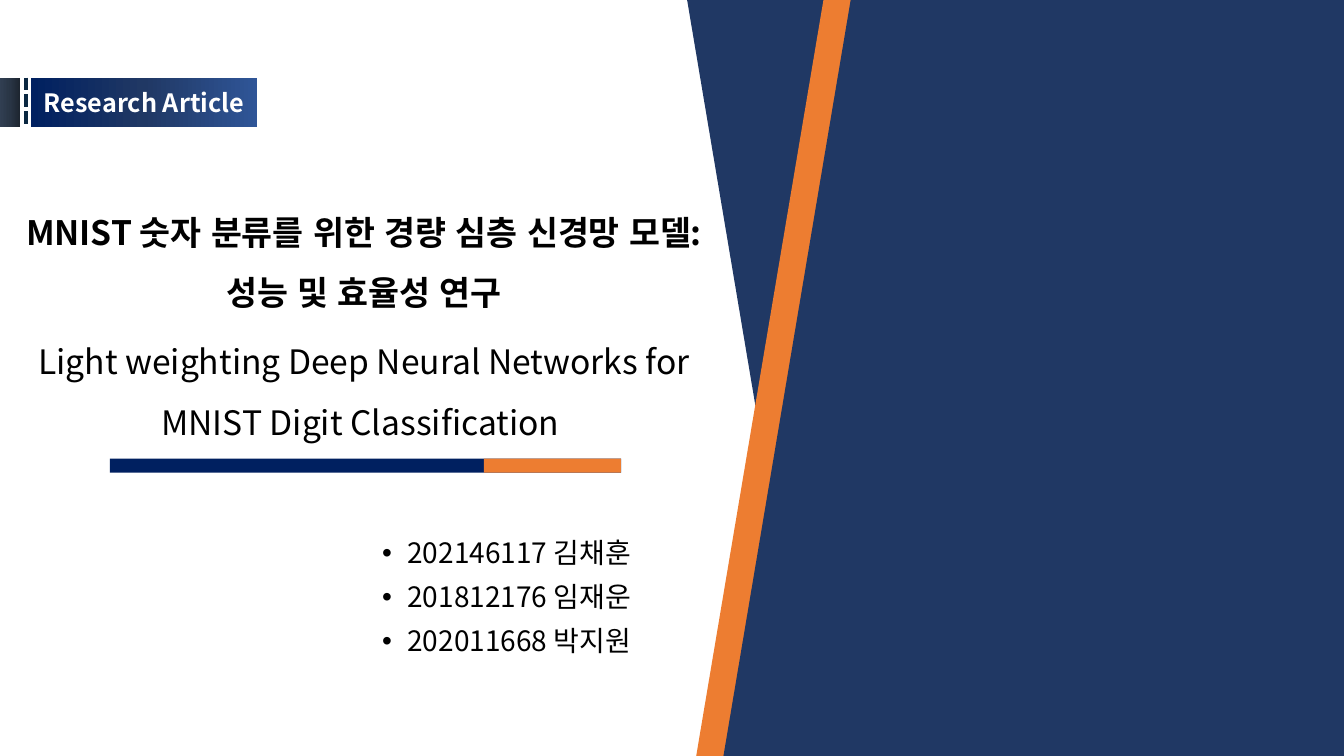
from copy import deepcopy
from pptx import Presentation
from pptx.dml.color import RGBColor
from pptx.enum.dml import MSO_LINE
from pptx.enum.lang import MSO_LANGUAGE_ID
from pptx.enum.shapes import MSO_CONNECTOR, MSO_SHAPE
from pptx.enum.text import MSO_ANCHOR, MSO_AUTO_SIZE, PP_ALIGN
from pptx.oxml.ns import qn
from pptx.util import Inches, Pt
from lxml import etree

TITLE = [
    ("MNIST 숫자 분류를 위한 경량 심층 신경망 모델: 성능 및 효율성 연구", True),
    ("Light weighting Deep Neural Networks for MNIST Digit Classification ", False),
]
TEAM = ["202146117 김채훈", "201812176 임재운", "202011668 박지원"]
TAG = "Research Article"

FONT = "Noto Sans CJK KR"
BLACK = RGBColor(0, 0, 0)
WHITE = RGBColor(255, 255, 255)
NAVY = RGBColor(0x20, 0x38, 0x64)
DEEP = RGBColor(0x00, 0x20, 0x60)
BLUE = RGBColor(0x2F, 0x55, 0x97)
ORANGE = RGBColor(0xED, 0x7D, 0x31)
INK = RGBColor(0x0A, 0x27, 0x41)
SLATE = [RGBColor(0x1D, 0x25, 0x30), RGBColor(0x29, 0x35, 0x45), RGBColor(0x31, 0x3F, 0x52)]

RECT = MSO_SHAPE.RECTANGLE
SLANT = MSO_SHAPE.FLOWCHART_MANUAL_INPUT
LEFT, MID, RIGHT = PP_ALIGN.LEFT, PP_ALIGN.CENTER, PP_ALIGN.RIGHT
TOP, CENTER = MSO_ANCHOR.TOP, MSO_ANCHOR.MIDDLE
KOREAN = MSO_LANGUAGE_ID.KOREAN

WIDE, HIGH = 13.33, 7.5
TAG_Y, TAG_H = 0.77, 0.49
DEPTH = 6.31
SLANTS = [(6.22, 270, False, NAVY), (6.31, 90, True, ORANGE), (6.58, 90, True, NAVY)]
BAR_X, BAR_Y, BAR_W, BAR_H = 1.09, 4.55, 5.07, 0.14
TIP = 1.36


def place(item, x, y, w, h):
    item.left, item.top, item.width, item.height = map(Inches, (x, y, w, h))


def shape(home, kind, x, y, w, h, fill):
    item = home.add_shape(kind, *map(Inches, (x, y, w, h)))
    item.shadow.inherit = False
    item.line.fill.background()
    if isinstance(fill, RGBColor):
        item.fill.solid()
        item.fill.fore_color.rgb = fill
    return item


def blend(item, tones, angle):
    item.fill.gradient()
    item.fill.gradient_angle = angle
    stops = item._element.spPr.find(qn("a:gradFill")).find(qn("a:gsLst"))
    half = deepcopy(stops[0])
    half.set("pos", "50000")
    stops.insert(1, half)
    for stop, tone in zip(item.fill.gradient_stops, tones):
        stop.color.rgb = tone


def write(par, text, size=24, color=BLACK, bold=False, align=MID,
          space=None, before=0, after=0, bullet=None):
    par.alignment = align
    par.line_spacing = space
    par.space_before, par.space_after = Pt(before), Pt(after)
    run = par.add_run()
    run.text = text
    font = run.font
    font.size, font.bold, font.name = Pt(size), bold, FONT
    font.color.rgb = color
    font.language_id = KOREAN
    latin = run._r.rPr.find(qn("a:latin"))
    east = etree.Element(qn("a:ea"), typeface=FONT)
    latin.addnext(east)
    if bullet:
        props = par._p.get_or_add_pPr()
        props.set("marL", str(Inches(0.25)))
        props.set("indent", str(-Inches(0.25)))
        etree.SubElement(props, qn("a:buFont"), typeface="Arial")
        etree.SubElement(props, qn("a:buChar"), char=bullet)


def fill_text(frame, texts, anchor=TOP):
    frame.word_wrap = True
    frame.auto_size = MSO_AUTO_SIZE.NONE
    frame.vertical_anchor = anchor
    for i, (text, form) in enumerate(texts):
        par = frame.add_paragraph() if i else frame.paragraphs[0]
        write(par, text, **form)


def main():
    deck = Presentation()
    deck.slide_width, deck.slide_height = Inches(WIDE), Inches(HIGH)
    slide = deck.slides.add_slide(deck.slide_layouts[5])
    parts = slide.shapes

    place(parts.title, 0.1, 1.85, 7.02, 2.99)
    fill_text(parts.title.text_frame,
              [(text, dict(bold=bold, space=1.5, after=6)) for text, bold in TITLE])

    team = parts.add_textbox(*map(Inches, (1.29, 5.3, BAR_W, 1.43)))
    look = dict(size=20, align=RIGHT, space=0.9, before=10, bullet="•")
    fill_text(team.text_frame, [(name, look) for name in TEAM])

    edge = shape(parts, RECT, 0, TAG_Y, 0.2, TAG_H, None)
    blend(edge, SLATE, 180)
    dash = parts.add_connector(MSO_CONNECTOR.STRAIGHT,
                               *map(Inches, (0.26, TAG_Y, 0.26, 1.24)))
    dash.line.color.rgb = INK
    dash.line.width = Pt(3)
    dash.line.dash_style = MSO_LINE.SQUARE_DOT
    etree.SubElement(dash._element.spPr, qn("a:effectLst"))
    tag = shape(parts, RECT, 0.31, TAG_Y, 2.24, TAG_H, None)
    blend(tag, [DEEP, NAVY, BLUE], 0)
    fill_text(tag.text_frame, [(TAG, dict(size=18, color=WHITE, bold=True))], CENTER)

    for x, turn, flip, tone in SLANTS:
        panel = shape(parts, SLANT, x, (HIGH - DEPTH) / 2, HIGH, DEPTH, tone)
        panel.rotation = turn
        if flip:
            panel._element.spPr.find(qn("a:xfrm")).set("flipV", "1")

    bar = parts.add_group_shape().shapes
    shape(bar, RECT, BAR_X, BAR_Y, BAR_W, BAR_H, DEEP)
    shape(bar, RECT, BAR_X + BAR_W - TIP, BAR_Y, TIP, BAR_H, ORANGE)

    deck.save("out.pptx")


if __name__ == "__main__":
    main()
